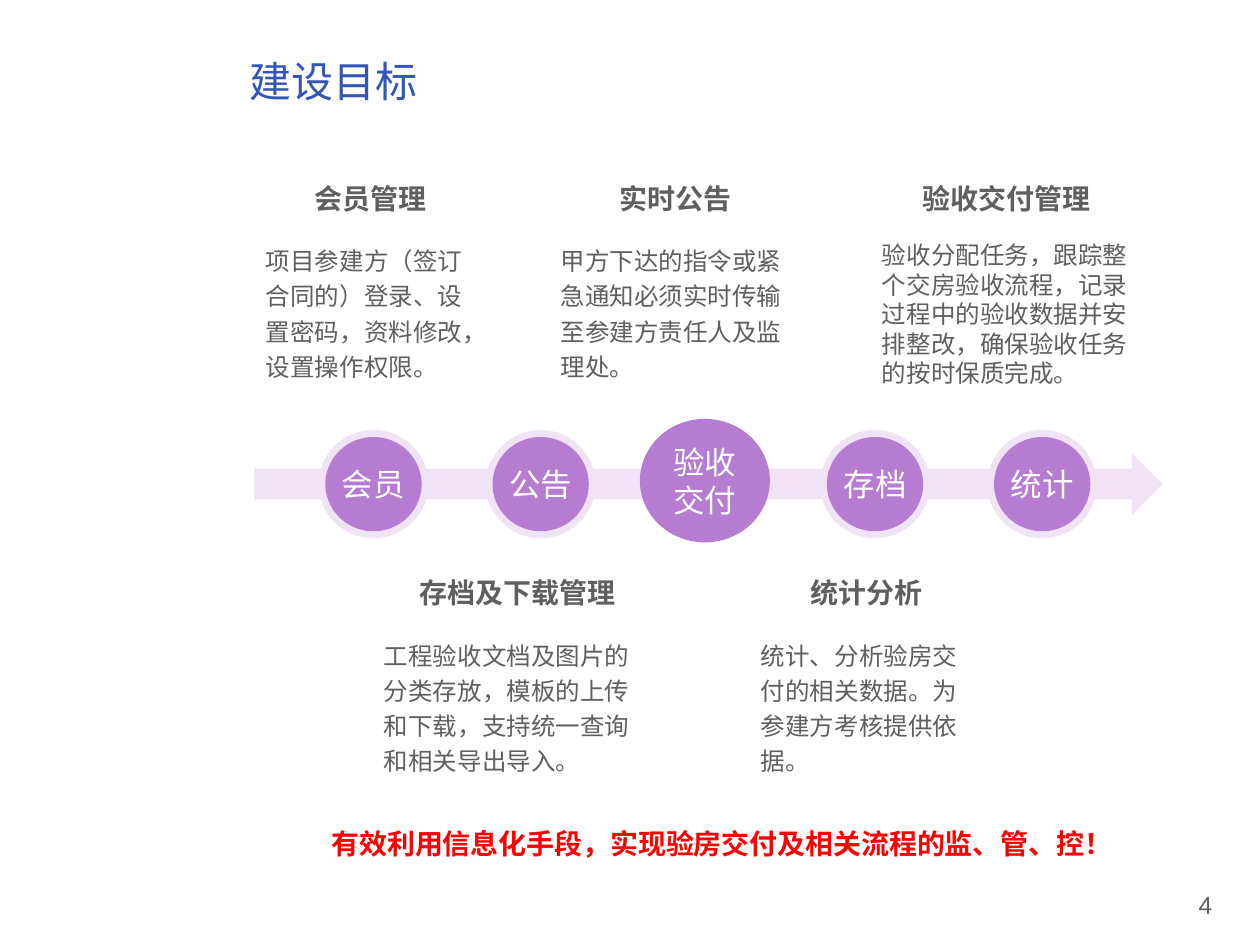
from collections import namedtuple

from lxml.etree import SubElement
from pptx import Presentation
from pptx.dml.color import RGBColor
from pptx.enum.shapes import MSO_SHAPE as Shape
from pptx.enum.text import MSO_ANCHOR as Anchor, MSO_AUTO_SIZE as AutoSize, PP_ALIGN as Align
from pptx.oxml.ns import qn
from pptx.util import Cm, Pt

Box = namedtuple("Box", "left top width height")

PALE = RGBColor(0xEF, 0xE3, 0xF5)
PURPLE = RGBColor(0xB5, 0x7C, 0xD2)
GREY = RGBColor(0x5F, 0x5F, 0x5F)
BLUE = RGBColor(0x32, 0x55, 0xB8)
RED = RGBColor(0xFF, 0x00, 0x00)
WHITE = RGBColor(0xFF, 0xFF, 0xFF)
CJK_FONT = "Noto Sans CJK SC"

STAGES = ["会员", "公告", "验收交付", "存档", "统计"]
MAIN_STAGE = 2
CARDS = [
    ("会员管理", "项目参建方（签订合同的）登录、设置密码，资料修改，设置操作权限。",
     Box(5.11, 3.4, 4.85, 4.52), 1.2, -0.04),
    ("实时公告", "甲方下达的指令或紧急通知必须实时传输至参建方责任人及监理处。",
     Box(11.05, 3.4, 5.36, 4.27), 1.2, -0.09),
    ("验收交付管理", "验收分配任务，跟踪整个交房验收流程，记录过程中的验收数据并安排整改，确保验收任务的按时保质完成。",
     Box(17.53, 3.4, 5.56, 4.57), 1.0, 0),
    ("存档及下载管理", "工程验收文档及图片的分类存放，模板的上传和下载，支持统一查询和相关导出导入。",
     Box(7.49, 11.35, 5.92, 4.77), 1.2, 0),
    ("统计分析", "统计、分析验房交付的相关数据。为参建方考核提供依据。",
     Box(15.09, 11.35, 4.8, 4.7), 1.2, 0),
]


def lengths(box):
    """Convert a box in centimetres to four lengths."""
    return [Cm(value) for value in box]


def centred(x, y, width, height):
    """Return the box of the given size around a centre point."""
    return Box(x - width / 2, y - height / 2, width, height)


def write(frame, text, size=14, color=GREY, font=CJK_FONT, bold=False,
          align=Align.LEFT, anchor=Anchor.TOP, spacing=1.0, after=0, wrap=True):
    """Fill a text frame with one formatted paragraph."""
    frame.word_wrap = wrap
    frame.auto_size = AutoSize.NONE
    frame.vertical_anchor = anchor
    para = frame.paragraphs[0]
    para.alignment = align
    para.line_spacing = spacing
    para.space_before = Pt(0)
    para.space_after = Pt(after)
    span = para.add_run()
    span.text = text
    span.font.size = Pt(size)
    span.font.bold = bold
    span.font.name = font
    span.font.color.rgb = color
    SubElement(span.font._element, qn("a:ea"), typeface=CJK_FONT)


def add_text(page, box, text, **style):
    """Add a text box holding one formatted paragraph."""
    write(page.shapes.add_textbox(*lengths(box)).text_frame, text, **style)


def add_solid(page, kind, box, color):
    """Add a filled preset shape without line or shadow."""
    shape = page.shapes.add_shape(kind, *lengths(box))
    shape.shadow.inherit = False
    shape.fill.solid()
    shape.fill.fore_color.rgb = color
    shape.line.fill.background()
    return shape


def add_title(page, box, text):
    """Place the title placeholder in its box."""
    title = page.shapes.title
    title.left, title.top, title.width, title.height = lengths(box)
    write(title.text_frame, text, size=24, color=BLUE, font="Arial", anchor=Anchor.MIDDLE)


def add_process(page, box):
    """Draw the arrow with one evenly spaced disc for each stage."""
    add_solid(page, Shape.RIGHT_ARROW, box, PALE)
    first, pitch = box.left + 2.4, 3.37
    middle = box.top + box.height / 2
    for index, stage in enumerate(STAGES):
        x = first + index * pitch
        add_solid(page, Shape.OVAL, centred(x, middle, 2.21, 2.18), PALE)
        disc_box = centred(x, middle, 1.94, 1.9)
        if index == MAIN_STAGE:
            disc_box = centred(x - 0.06, middle - 0.07, 2.62, 2.49)
        frame = add_solid(page, Shape.OVAL, disc_box, PURPLE).text_frame
        frame.margin_left = frame.margin_right = frame.margin_top = frame.margin_bottom = 0
        write(frame, stage, size=18, color=WHITE, align=Align.CENTER, anchor=Anchor.MIDDLE)


def add_card(page, box, heading, body, spacing, shift):
    """Place a heading centred above its description."""
    body_offset = 1.32
    width = 0.56 * len(heading) + 0.55
    left = box.left + (box.width - width) / 2 + shift
    add_text(page, Box(left, box.top, width, 1.02), heading,
             size=16, bold=True, spacing=1.2, after=6, wrap=False)
    body_box = Box(box.left, box.top + body_offset, box.width, box.height - body_offset)
    add_text(page, body_box, body, spacing=spacing)


def main():
    """Build the slide and save the deck."""
    deck = Presentation()
    deck.slide_width, deck.slide_height = Cm(25.4), Cm(19.05)
    page = deck.slides.add_slide(deck.slide_layouts[5])
    add_title(page, Box(4.78, 0.64, 19.86, 1.98), "建设目标")
    add_process(page, Box(5.13, 9.14, 18.31, 1.24))
    for heading, body, box, spacing, shift in CARDS:
        add_card(page, box, heading, body, spacing, shift)
    add_text(page, Box(6.43, 16.54, 16.51, 0.94),
             "有效利用信息化手段，实现验房交付及相关流程的监、管、控！",
             size=16, color=RED, bold=True)
    add_text(page, Box(18.77, 17.35, 5.92, 1.32), "4", font="Arial",
             align=Align.RIGHT, anchor=Anchor.BOTTOM)
    deck.save("out.pptx")


if __name__ == "__main__":
    main()
